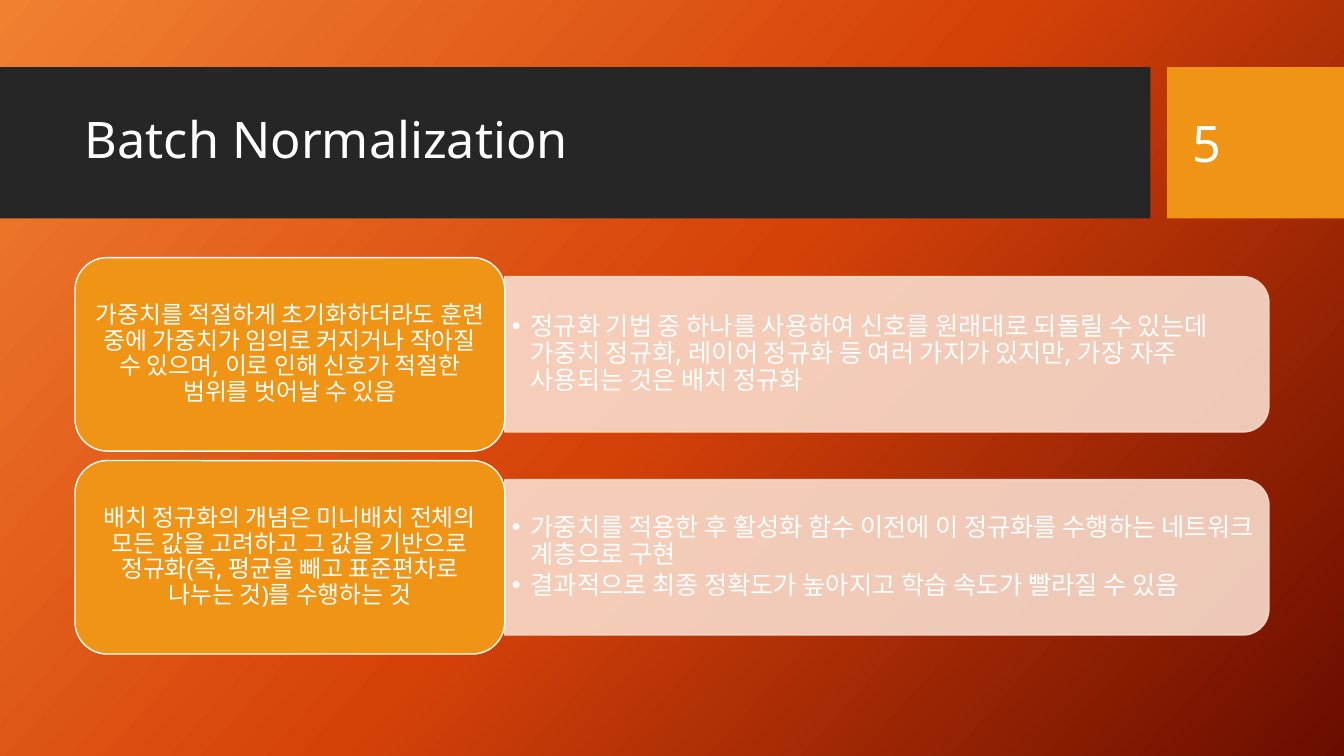
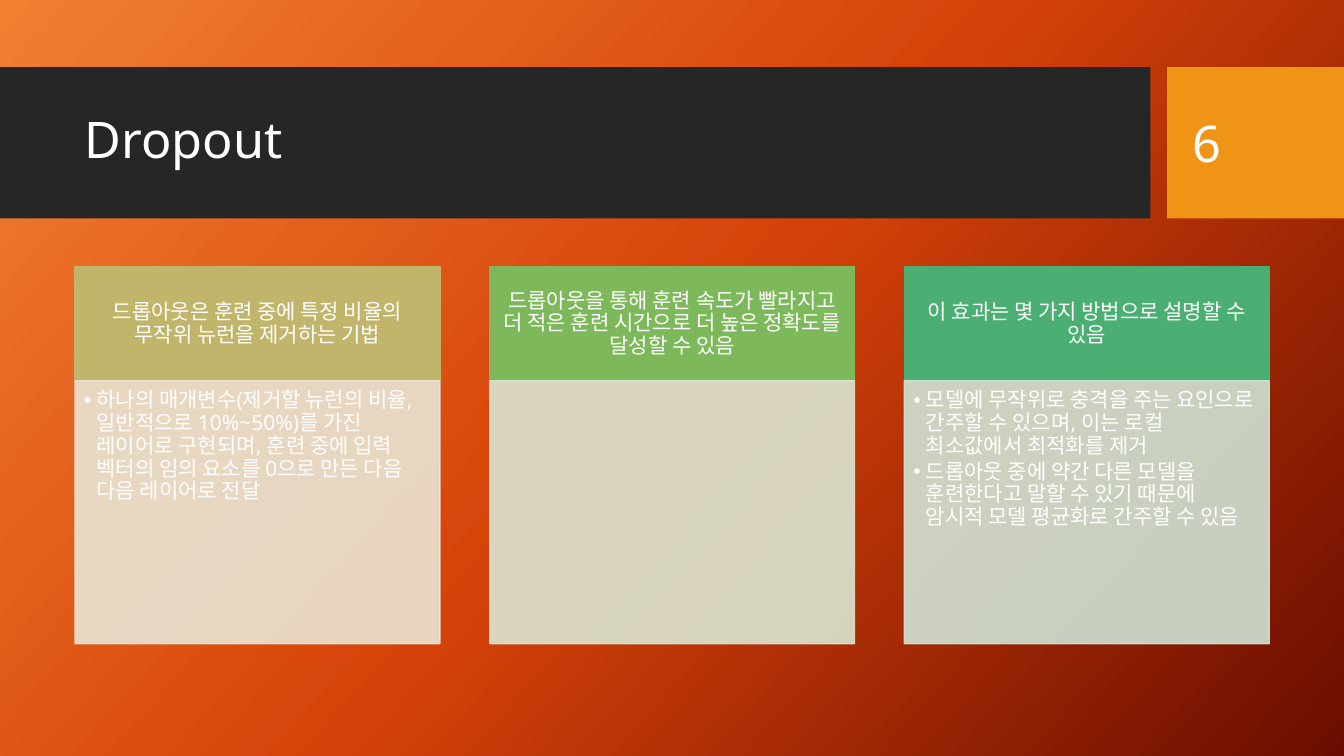
"""Build two slides on batch normalization and dropout as rows and columns of cards."""

from copy import deepcopy
from dataclasses import dataclass
from typing import NamedTuple

from pptx import Presentation
from pptx.dml.color import RGBColor
from pptx.enum.shapes import MSO_SHAPE as Shape
from pptx.enum.text import MSO_ANCHOR as Anchor, MSO_AUTO_SIZE as AutoSize, PP_ALIGN as Align
from pptx.oxml.ns import qn
from pptx.oxml.xmlchemy import OxmlElement
from pptx.presentation import Presentation as Deck
from pptx.shapes.autoshape import Shape as AutoShape
from pptx.slide import Slide, SlideLayout
from pptx.util import Pt


class Box(NamedTuple):
    left: float
    top: float
    width: float
    height: float


@dataclass(frozen=True)
class Theme:
    font: str = "Noto Sans"
    white: str = "FFFFFF"
    band: str = "262626"
    accent: str = "F09415"
    panel: str = "F9DCCC"
    gradient: tuple[str, ...] = ("F18031", "D54209", "6A0D00")
    gradient_angle: float = 42
    panel_opacity: int = 90
    title_size: float = 36
    row_card_size: float = 17
    row_list_size: float = 18
    column_size: float = 15


THEME = Theme()


@dataclass(frozen=True)
class TextStyle:
    size: float
    align: Align = Align.LEFT
    anchor: Anchor = Anchor.MIDDLE
    insets: tuple[float, float, float, float] = (7.2, 3.6, 7.2, 3.6)
    line_spacing: float = 0.9
    after: float = 0
    hanging: float = 0


TITLE = TextStyle(THEME.title_size)
NUMBER = TextStyle(THEME.title_size, line_spacing=1, after=6)
ROW_CARD = TextStyle(THEME.row_card_size, Align.CENTER, insets=(5, 3, 5, 3), after=5.95)
ROW_LIST = TextStyle(THEME.row_list_size, insets=(5, 3, 5, 3), after=2.7, hanging=13.5)
COLUMN_HEADER = TextStyle(THEME.column_size, Align.CENTER, insets=(8.4, 4.8, 8.4, 4.8), after=5.25)
COLUMN_LIST = TextStyle(THEME.column_size, anchor=Anchor.TOP, insets=(6.4, 6.4, 8.5, 9.6),
                        after=2.25, hanging=9)

SLIDE_WIDTH, SLIDE_HEIGHT = 960, 540
TITLE_BAND = Box(0, 48, 821.8, 108)
NUMBER_BAND = Box(833.6, 48, SLIDE_WIDTH - 833.6, 108)
TITLE_BOX = Box(53.3, 59, 756.7, 85)
NUMBER_BOX = Box(844.6, 59, 90.7, 85.7)
FIRST_CARD = Box(53.6, 184, 307, 138.2)
ROW_PITCH = 145
PANEL_WIDTH, PANEL_HEIGHT = 545.8, 111
LIST_WIDTH, LIST_HEIGHT = 540.7, 100
FIRST_HEADER = Box(53.6, 190.8, 260.6, 81.2)
COLUMN_PITCH = 296.2
COLUMN_BODY_HEIGHT = 187.8


@dataclass(frozen=True)
class Row:
    heading: str
    points: tuple[str, ...]


@dataclass(frozen=True)
class Column:
    heading: str
    points: tuple[str, ...]
    header_color: str
    body_color: str


ROWS = (
    Row("가중치를 적절하게 초기화하더라도 훈련 중에 가중치가 임의로 커지거나 작아질 수 있으며, "
        "이로 인해 신호가 적절한 범위를 벗어날 수 있음",
        ("정규화 기법 중 하나를 사용하여 신호를 원래대로 되돌릴 수 있는데 가중치 정규화, 레이어 정규화 등 "
         "여러 가지가 있지만, 가장 자주 사용되는 것은 배치 정규화",)),
    Row("배치 정규화의 개념은 미니배치 전체의 모든 값을 고려하고 그 값을 기반으로 "
        "정규화(즉, 평균을 빼고 표준편차로 나누는 것)를 수행하는 것",
        ("가중치를 적용한 후 활성화 함수 이전에 이 정규화를 수행하는 네트워크 계층으로 구현",
         "결과적으로 최종 정확도가 높아지고 학습 속도가 빨라질 수 있음")),
)
COLUMNS = (
    Column("드롭아웃은 훈련 중에 특정 비율의 무작위 뉴런을 제거하는 기법",
           ("하나의 매개변수(제거할 뉴런의 비율, 일반적으로 10%~50%)를 가진 레이어로 구현되며, "
            "훈련 중에 입력 벡터의 임의 요소를 0으로 만든 다음 다음 레이어로 전달",),
           "C1B56B", "E9E5D4"),
    Column("드롭아웃을 통해 훈련 속도가 빨라지고 더 적은 훈련 시간으로 더 높은 정확도를 달성할 수 있음",
           (), "7DB95A", "DBE6D2"),
    Column("이 효과는 몇 가지 방법으로 설명할 수 있음",
           ("모델에 무작위로 충격을 주는 요인으로 간주할 수 있으며, 이는 로컬 최소값에서 최적화를 제거",
            "드롭아웃 중에 약간 다른 모델을 훈련한다고 말할 수 있기 때문에 암시적 모델 평균화로 간주할 수 있음"),
           "4BAF73", "D0E3D5"),
)


def place(shape: AutoShape, box: Box) -> None:
    shape.left, shape.top, shape.width, shape.height = (Pt(length) for length in box)


def write(shape: AutoShape, lines: tuple[str, ...], style: TextStyle) -> None:
    frame = shape.text_frame
    frame.text = "\n".join(lines)
    frame.word_wrap = True
    frame.auto_size = AutoSize.NONE
    frame.vertical_anchor = style.anchor
    (frame.margin_left, frame.margin_top,
     frame.margin_right, frame.margin_bottom) = (Pt(inset) for inset in style.insets)
    for paragraph in frame.paragraphs:
        paragraph.alignment = style.align
        paragraph.line_spacing = style.line_spacing
        paragraph.space_before = Pt(0)
        paragraph.space_after = Pt(style.after)
        if style.hanging:
            properties = paragraph._p.get_or_add_pPr()
            properties.set("marL", str(Pt(style.hanging)))
            properties.set("indent", str(-Pt(style.hanging)))
        for run in paragraph.runs:
            run.font.name = THEME.font
            run.font.size = Pt(style.size)
            run.font.color.rgb = RGBColor.from_string(THEME.white)


def add_block(slide: Slide, kind: Shape, box: Box, fill: str,
              line: str | None = None, opacity: int = 100) -> AutoShape:
    shape = slide.shapes.add_shape(kind, *(Pt(length) for length in box))
    shape.shadow.inherit = False
    shape.fill.solid()
    shape.fill.fore_color.rgb = RGBColor.from_string(fill)
    if line:
        shape.line.color.rgb = RGBColor.from_string(line)
        shape.line.width = Pt(1)
    else:
        shape.line.fill.background()
    if opacity < 100:
        for color in list(shape.element.spPr.iter(qn("a:srgbClr"))):
            alpha = OxmlElement("a:alpha")
            alpha.set("val", str(opacity * 1000))
            color.append(alpha)
    return shape


def fill_list(slide: Slide, placeholder: AutoShape, box: Box,
              points: tuple[str, ...], style: TextStyle) -> None:
    slide.shapes.element.append(placeholder.element)
    place(placeholder, box)
    write(placeholder, points, style)


def set_background(presentation: Deck) -> None:
    master = presentation.slide_master
    fill = master.background.fill
    fill.gradient()
    fill.gradient_angle = 360 - THEME.gradient_angle
    stops = next(master.element.iter(qn("a:gsLst")))
    stops.append(deepcopy(stops[-1]))
    last = len(THEME.gradient) - 1
    for index, (stop, color) in enumerate(zip(fill.gradient_stops, THEME.gradient)):
        stop.color.rgb = RGBColor.from_string(color)
        stop.position = index / last


def move_bands_to_layout(slide: Slide, layout: SlideLayout) -> None:
    for box, color in ((TITLE_BAND, THEME.band), (NUMBER_BAND, THEME.accent)):
        band = add_block(slide, Shape.RECTANGLE, box, color)
        layout.shapes.element.insert(2, band.element)


def add_titled_slide(presentation: Deck, layout: SlideLayout, title: str, number: int) -> Slide:
    slide = presentation.slides.add_slide(layout)
    place(slide.shapes.title, TITLE_BOX)
    write(slide.shapes.title, (title,), TITLE)
    number_box = slide.shapes.add_textbox(*(Pt(length) for length in NUMBER_BOX))
    write(number_box, (str(number),), NUMBER)
    return slide


def draw_rows(slide: Slide, rows: tuple[Row, ...]) -> None:
    lists = [slide.placeholders[1], slide.placeholders[2]]
    panel_left = FIRST_CARD.left + FIRST_CARD.width
    for index, (row, placeholder) in enumerate(zip(rows, lists)):
        card = FIRST_CARD._replace(top=FIRST_CARD.top + index * ROW_PITCH)
        middle = card.top + card.height / 2
        upright = Box(panel_left + (PANEL_WIDTH - PANEL_HEIGHT) / 2, middle - PANEL_WIDTH / 2,
                      PANEL_HEIGHT, PANEL_WIDTH)
        panel = add_block(slide, Shape.ROUND_2_SAME_RECTANGLE, upright,
                          THEME.panel, THEME.panel, THEME.panel_opacity)
        panel.rotation = 90
        list_box = Box(panel_left, middle - LIST_HEIGHT / 2, LIST_WIDTH, LIST_HEIGHT)
        fill_list(slide, placeholder, list_box, row.points, ROW_LIST)
        heading = add_block(slide, Shape.ROUNDED_RECTANGLE, card, THEME.accent, THEME.white)
        write(heading, (row.heading,), ROW_CARD)


def draw_columns(slide: Slide, columns: tuple[Column, ...]) -> None:
    lists = iter([slide.placeholders[1], slide.placeholders[2]])
    for index, column in enumerate(columns):
        header = FIRST_HEADER._replace(left=FIRST_HEADER.left + index * COLUMN_PITCH)
        body = header._replace(top=header.top + header.height, height=COLUMN_BODY_HEIGHT)
        heading = add_block(slide, Shape.RECTANGLE, header, column.header_color, column.header_color)
        write(heading, (column.heading,), COLUMN_HEADER)
        add_block(slide, Shape.RECTANGLE, body, column.body_color, column.body_color,
                  THEME.panel_opacity)
        if column.points:
            fill_list(slide, next(lists), body, column.points, COLUMN_LIST)


def main() -> None:
    presentation = Presentation()
    presentation.slide_width, presentation.slide_height = Pt(SLIDE_WIDTH), Pt(SLIDE_HEIGHT)
    set_background(presentation)
    layout = presentation.slide_layouts.get_by_name("Two Content")
    normalization = add_titled_slide(presentation, layout, "Batch Normalization", 5)
    move_bands_to_layout(normalization, layout)
    draw_rows(normalization, ROWS)
    dropout = add_titled_slide(presentation, layout, "Dropout", 6)
    draw_columns(dropout, COLUMNS)
    presentation.save("out.pptx")


if __name__ == "__main__":
    main()
